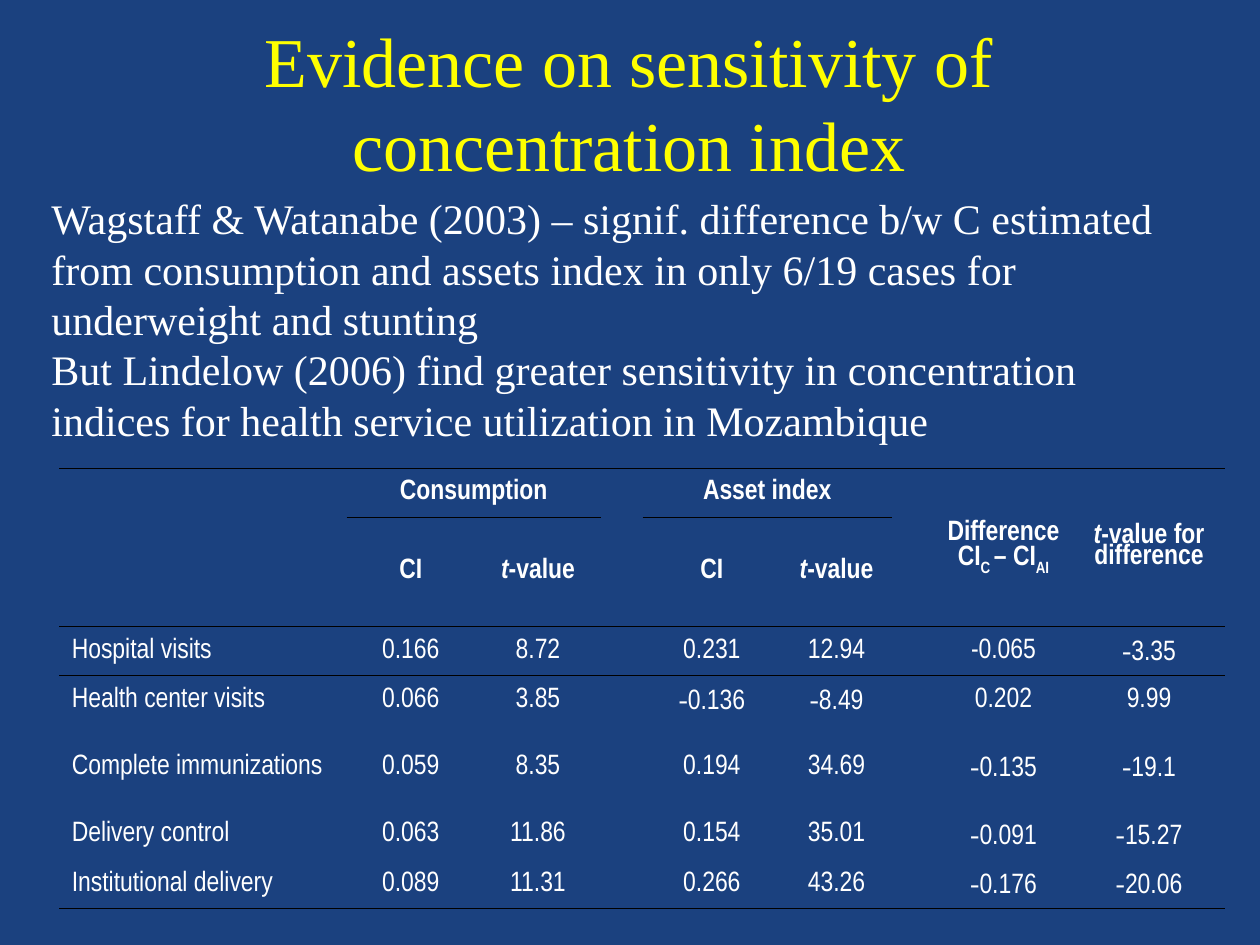
from dataclasses import dataclass
from typing import NamedTuple

from lxml import etree
from pptx import Presentation
from pptx.dml.color import RGBColor
from pptx.enum.text import MSO_ANCHOR, PP_ALIGN
from pptx.oxml.ns import qn
from pptx.util import Inches, Pt

LEFT, CENTER = PP_ALIGN.LEFT, PP_ALIGN.CENTER
TOP, MIDDLE = MSO_ANCHOR.TOP, MSO_ANCHOR.MIDDLE
PLAIN_TABLE_STYLE = "{2D5ABB26-0587-4C30-8999-92F81FD0307C}"
SLIDE_WIDTH, SLIDE_HEIGHT = Inches(10), Inches(7.5)


@dataclass(frozen=True)
class Theme:
    background: str = "1B417F"
    title: str = "FFFF00"
    text: str = "FFFFFF"
    rule: str = "000000"
    serif: str = "Times New Roman"
    narrow: str = "Arial Narrow"
    title_size: int = 40
    body_size: int = 24
    table_size: int = 16
    rule_width: float = 0.45
    header_spacing: float = 0.8


THEME = Theme()


class Box(NamedTuple):
    """Place and size in percent of the slide."""
    left: float
    top: float
    width: float
    height: float

    def lengths(self) -> tuple:
        across, down = SLIDE_WIDTH / 100, SLIDE_HEIGHT / 100
        return (int(self.left * across), int(self.top * down),
                int(self.width * across), int(self.height * down))


class Piece(NamedTuple):
    text: str
    italic: bool = False
    subscript: bool = False
    serif: bool = False


class Header(NamedTuple):
    row: int
    column: int
    pieces: list
    row_span: int = 1
    column_span: int = 1


class TextBlock(NamedTuple):
    box: Box
    paragraphs: list
    format: dict
    alignment: PP_ALIGN
    anchor: MSO_ANCHOR


# Slide content
BLOCKS = [
    TextBlock(Box(7.4, 2.4, 85, 16.67),
              ["Evidence on sensitivity of concentration index"],
              {"name": THEME.serif, "size": Pt(THEME.title_size),
               "color": THEME.title}, CENTER, MIDDLE),
    TextBlock(Box(3.1, 19.73, 91.9, 28),
              ["Wagstaff & Watanabe (2003) – signif. difference b/w C estimated "
               "from consumption and assets index in only 6/19 cases for "
               "underweight and stunting",
               "But Lindelow (2006) find greater sensitivity in concentration "
               "indices for health service utilization in Mozambique"],
              {"name": THEME.serif, "size": Pt(THEME.body_size),
               "color": THEME.text}, LEFT, TOP),
]

TABLE_BOX = Box(4.7, 49.6, 92.4, 46.53)
COLUMN_SHARES = [22.8, 10.2, 10, 3.3, 11, 8.8, 3.3, 11.1, 12]
ROW_SHARES = [5.2, 11.47, 5.2, 5.2, 9.07, 5.2, 5.2]
VALUE_COLUMNS = [0, 1, 2, 4, 5, 7, 8]
GROUP_COLUMNS = [1, 2, 4, 5]
FIRST_DATA_ROW = 2

T_VALUE = [Piece("t", italic=True), Piece("-value")]
HEADERS = [
    Header(0, 1, [Piece("Consumption")], column_span=2),
    Header(0, 4, [Piece("Asset index")], column_span=2),
    Header(0, 7, [Piece("Difference CI"), Piece("C ", subscript=True),
                  Piece("– CI"), Piece("AI", subscript=True)], row_span=2),
    Header(0, 8, [Piece("t", italic=True), Piece("-value for difference")],
           row_span=2),
    Header(1, 1, [Piece("CI")]),
    Header(1, 2, T_VALUE),
    Header(1, 4, [Piece("CI")]),
    Header(1, 5, T_VALUE),
]
DATA = [
    ["Hospital visits", "0.166", "8.72", "0.231", "12.94", "-0.065", "‑3.35"],
    ["Health center visits", "0.066", "3.85", "‑0.136", "‑8.49", "0.202", "9.99"],
    ["Complete immunizations", "0.059", "8.35", "0.194", "34.69", "‑0.135", "‑19.1"],
    ["Delivery control", "0.063", "11.86", "0.154", "35.01", "‑0.091", "‑15.27"],
    ["Institutional delivery", "0.089", "11.31", "0.266", "43.26", "‑0.176", "‑20.06"],
]


def format_font(font, values: dict) -> None:
    for name, value in values.items():
        if name == "color":
            font.color.rgb = RGBColor.from_string(value)
        else:
            setattr(font, name, value)


def add_text_block(slide, block: TextBlock) -> None:
    frame = slide.shapes.add_textbox(*block.box.lengths()).text_frame
    frame.word_wrap = True
    frame.vertical_anchor = block.anchor
    for index, text in enumerate(block.paragraphs):
        paragraph = frame.add_paragraph() if index else frame.paragraphs[0]
        paragraph.alignment = block.alignment
        run = paragraph.add_run()
        run.text = text
        format_font(run.font, block.format)


def fill_cell(cell, pieces: list, alignment: PP_ALIGN, bold: bool) -> None:
    margins = {"margin_left": 0.1, "margin_right": 0.1,
               "margin_top": 0.05, "margin_bottom": 0.05}
    for name, value in margins.items():
        setattr(cell, name, Inches(value))
    paragraph = cell.text_frame.paragraphs[0]
    paragraph.alignment = alignment
    if bold:
        paragraph.line_spacing = THEME.header_spacing
    for piece in pieces:
        run = paragraph.add_run()
        run.text = piece.text
        format_font(run.font, {
            "name": THEME.serif if piece.serif else THEME.narrow,
            "size": Pt(THEME.table_size), "color": THEME.text,
            "bold": bold, "italic": piece.italic})
        if piece.subscript:
            run.font._element.set("baseline", "-30000")


def number_pieces(text: str) -> list:
    """The non-breaking minus sign is set in the serif face."""
    if text.startswith("‑"):
        return [Piece("‑", serif=True), Piece(text[1:])]
    return [Piece(text)]


def add_rule(cell, tag: str, position: int) -> None:
    line = etree.Element(qn(tag), w=str(int(Pt(THEME.rule_width))))
    fill = etree.SubElement(line, qn("a:solidFill"))
    etree.SubElement(fill, qn("a:srgbClr"), val=THEME.rule)
    cell._tc.get_or_add_tcPr().insert(position, line)


def add_results_table(slide) -> None:
    rows, columns = len(ROW_SHARES), len(COLUMN_SHARES)
    table = slide.shapes.add_table(rows, columns, *TABLE_BOX.lengths()).table
    table._tbl.tblPr.find(qn("a:tableStyleId")).text = PLAIN_TABLE_STYLE
    table.first_row = table.horz_banding = False
    for column, share in zip(table.columns, COLUMN_SHARES):
        column.width = int(SLIDE_WIDTH * share / 100)
    for row, share in zip(table.rows, ROW_SHARES):
        row.height = int(SLIDE_HEIGHT * share / 100)

    # Horizontal rules, keyed by the grid line they lie on
    every = range(columns)
    rules = {0: every, 1: GROUP_COLUMNS, FIRST_DATA_ROW: every, rows: every}
    for row in range(rows):
        for column in every:
            cell = table.cell(row, column)
            cell.fill.background()
            cell.vertical_anchor = MIDDLE
            cell.margin_top = cell.margin_bottom = 0
            edges = [("a:lnT", row), ("a:lnB", row + 1)]
            drawn = [tag for tag, line in edges if column in rules.get(line, ())]
            for position, tag in enumerate(drawn):
                add_rule(cell, tag, position)

    # Column headings
    for header in HEADERS:
        cell = table.cell(header.row, header.column)
        if header.row_span > 1 or header.column_span > 1:
            cell.merge(table.cell(header.row + header.row_span - 1,
                                  header.column + header.column_span - 1))
        fill_cell(cell, header.pieces, CENTER, bold=True)

    # Data rows
    for row, values in enumerate(DATA, FIRST_DATA_ROW):
        for column, text in zip(VALUE_COLUMNS, values):
            fill_cell(table.cell(row, column), number_pieces(text),
                      CENTER if column else LEFT, bold=False)


def main() -> None:
    presentation = Presentation()
    presentation.slide_width, presentation.slide_height = SLIDE_WIDTH, SLIDE_HEIGHT
    slide = presentation.slides.add_slide(presentation.slide_layouts[6])
    slide.background.fill.solid()
    slide.background.fill.fore_color.rgb = RGBColor.from_string(THEME.background)
    for block in BLOCKS:
        add_text_block(slide, block)
    add_results_table(slide)
    presentation.save("out.pptx")


if __name__ == "__main__":
    main()
